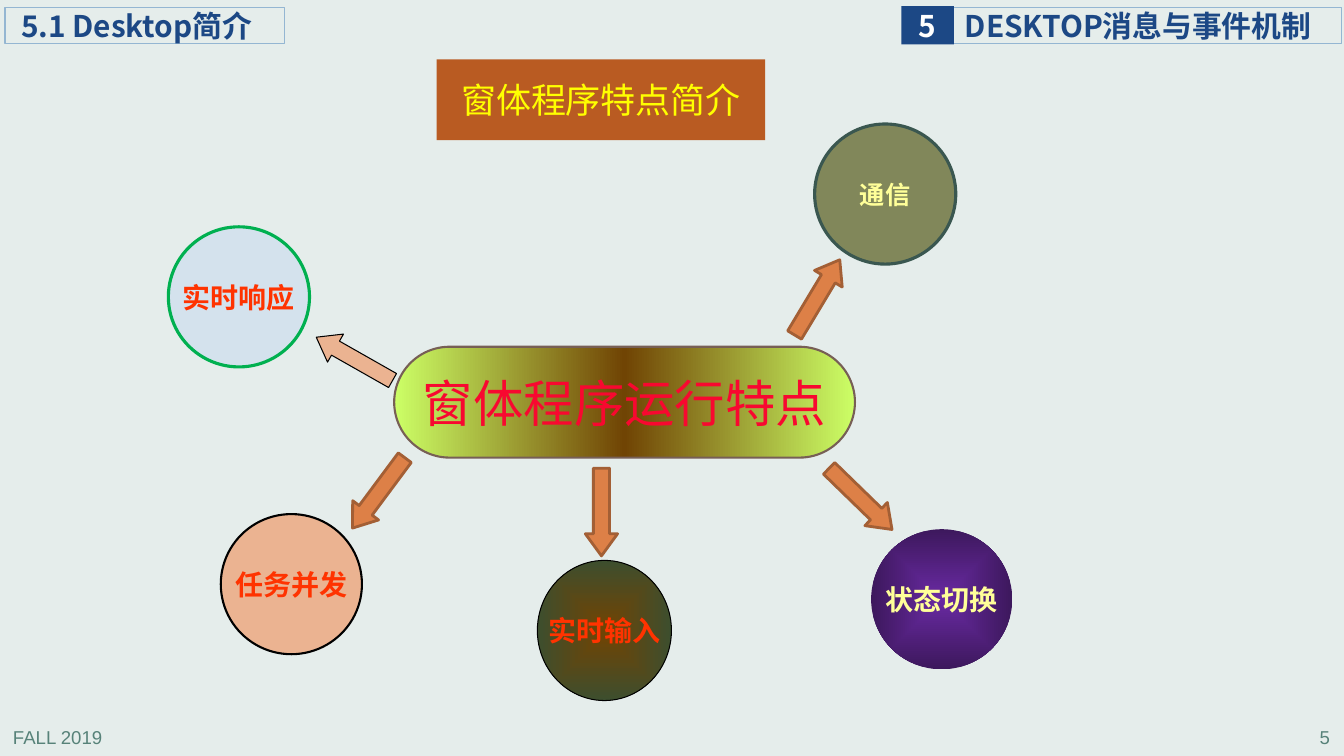
from dataclasses import dataclass
from typing import Optional

from lxml import etree
from pptx import Presentation
from pptx.dml.color import RGBColor
from pptx.enum.shapes import MSO_SHAPE as Preset
from pptx.enum.text import MSO_ANCHOR as Anchor, MSO_AUTO_SIZE as AutoSize, PP_ALIGN as Align
from pptx.oxml.ns import qn
from pptx.util import Inches, Pt

CJK_FONT = "Noto Sans CJK SC"
NAVY, ORANGE, RUST = "1C4885", "DD8047", "A35F35"
PEACH, RED, CREAM = "EBB391", "FF3300", "FFFF99"


@dataclass(frozen=True)
class Gradient:
    stops: tuple[tuple[int, str], ...]
    from_centre: bool = False


@dataclass(frozen=True)
class Label:
    text: str
    size: float
    color: str
    bold: bool = False
    align: Align = Align.CENTER
    font: str = CJK_FONT
    wrap: bool = False
    insets: tuple[float, float, float, float] = (0.1, 0.05, 0.1, 0.05)


@dataclass(frozen=True)
class Block:
    box: tuple[float, float, float, float]
    preset: Preset
    fill: str | Gradient | None = None
    line: Optional[tuple[str, float]] = None
    label: Optional[Label] = None
    adjustments: tuple[float, ...] = ()
    rotation: float = 0


def rgb(value: str) -> RGBColor:
    return RGBColor.from_string(value)


def paint(shape, fill: str | Gradient | None) -> None:
    if isinstance(fill, str):
        shape.fill.solid()
        shape.fill.fore_color.rgb = rgb(fill)
        return
    shape.fill.background()
    if fill is None:
        return
    grad = etree.Element(qn("a:gradFill"), rotWithShape="1")
    stops = etree.SubElement(grad, qn("a:gsLst"))
    for percent, color in fill.stops:
        stop = etree.SubElement(stops, qn("a:gs"), pos=str(percent * 1000))
        etree.SubElement(stop, qn("a:srgbClr"), val=color)
    if fill.from_centre:
        shade = etree.SubElement(grad, qn("a:path"), path="shape")
        etree.SubElement(shade, qn("a:fillToRect"), {side: "50000" for side in "ltrb"})
    else:
        etree.SubElement(grad, qn("a:lin"), ang="0", scaled="1")
    properties = shape._element.spPr
    properties.replace(properties.find(qn("a:noFill")), grad)


def write(shape, label: Label) -> None:
    frame = shape.text_frame
    left, top, right, bottom = map(Inches, label.insets)
    frame_format = {
        "margin_left": left, "margin_top": top, "margin_right": right, "margin_bottom": bottom,
        "auto_size": AutoSize.NONE, "word_wrap": label.wrap, "vertical_anchor": Anchor.MIDDLE,
    }
    for name, value in frame_format.items():
        setattr(frame, name, value)
    paragraph = frame.paragraphs[0]
    paragraph.alignment = label.align
    run = paragraph.add_run()
    run.text = label.text
    font_format = {"name": label.font, "size": Pt(label.size), "bold": label.bold}
    for name, value in font_format.items():
        setattr(run.font, name, value)
    run.font.color.rgb = rgb(label.color)
    etree.SubElement(run._r.get_or_add_rPr(), qn("a:ea"), typeface=label.font)


def draw(slide, block: Block) -> None:
    shape = slide.shapes.add_shape(block.preset, *map(Inches, block.box))
    shape.shadow.inherit = False
    shape.rotation = block.rotation
    for index, value in enumerate(block.adjustments):
        shape.adjustments[index] = value
    paint(shape, block.fill)
    if block.line:
        color, width = block.line
        shape.line.color.rgb = rgb(color)
        shape.line.width = Pt(width)
    else:
        shape.line.fill.background()
    if block.label:
        write(shape, block.label)


def header(box, text: str, inset: float) -> Block:
    label = Label(text, 21.3, NAVY, True, Align.LEFT, wrap=True, insets=(inset, 0, 0, 0))
    return Block(box, Preset.RECTANGLE, line=("94B6D2", 0.75), label=label)


def feature(left: float, top: float, text: str, color: str, fill: str | Gradient,
            line=None, width: float = 1.4, size: float = 20) -> Block:
    return Block((left, top, width, 1.39), Preset.OVAL, fill, line, Label(text, size, color, True))


def arrow(left: float, top: float, rotation: float, fill: str = ORANGE, line=(RUST, 2)) -> Block:
    return Block((left, top, 0.87, 0.32), Preset.RIGHT_ARROW, fill, line,
                 adjustments=(0.5, 0.685), rotation=rotation)


HEADERS = [
    header((9.45, 0.07, 3.86, 0.36), "DESKTOP消息与事件机制", 0.12),
    Block((8.94, 0.06, 0.52, 0.38), Preset.RECTANGLE, NAVY,
          label=Label("5", 21.3, "FFFFFF", True, insets=(0, 0, 0, 0))),
    header((0.05, 0.07, 2.77, 0.36), "5.1 Desktop简介", 0.16),
]
FEATURES = [
    feature(5.33, 5.56, "实时输入", RED, Gradient(((0, "704404"), (100, "3D4E2E")), True),
            ("000000", 0.75), width=1.33),
    feature(8.64, 5.25, "状态切换", CREAM, Gradient(((0, "692AA2"), (100, "3D185D")), True)),
    feature(2.19, 5.1, "任务并发", RED, PEACH, ("000000", 1.5)),
    feature(1.67, 2.25, "实时响应", RED, "D4E2ED", ("00B050", 2.25)),
    feature(8.08, 1.23, "通信", CREAM, "81875A", ("3A5750", 2.25), size=18),
]
HUB = Block((3.91, 3.44, 4.57, 1.1), Preset.ROUNDED_RECTANGLE,
            Gradient(((0, "CCFF66"), (50, "704404"), (100, "CCFF66"))), ("775F55", 1.5),
            Label("窗体程序运行特点", 36, "F80830"), adjustments=(0.5,))
ARROWS = [
    arrow(7.67, 2.79, 301),
    arrow(8.1, 4.79, 44.2),
    arrow(5.53, 4.92, 90),
    arrow(3.32, 4.73, 126.6),
    arrow(3.08, 3.4, 209.6, PEACH, ("000000", 0.75)),
]
FOOTERS = [(0.03, "FALL 2019", Align.LEFT), (10.51, "5", Align.RIGHT)]


def main() -> None:
    deck = Presentation()
    deck.slide_width, deck.slide_height = Inches(13.33), Inches(7.5)
    slide = deck.slides.add_slide(deck.slide_layouts[5])
    slide.background.fill.solid()
    slide.background.fill.fore_color.rgb = rgb("E5EDEB")

    # Title
    title = slide.shapes.title
    title.left, title.top, title.width, title.height = map(Inches, (4.33, 0.59, 3.26, 0.8))
    paint(title, "B95B22")
    write(title, Label("窗体程序特点简介", 25, "FFFF00", wrap=True))

    # Footer
    for left, text, align in FOOTERS:
        footer = slide.shapes.add_textbox(*map(Inches, (left, 7.16, 2.78, 0.31)))
        write(footer, Label(text, 13.3, "578279", align=align, font="Arial", wrap=True))

    # Header bars, then the hub with its features
    for block in [*HEADERS, *FEATURES, HUB, *ARROWS]:
        draw(slide, block)

    deck.save("out.pptx")


if __name__ == "__main__":
    main()
